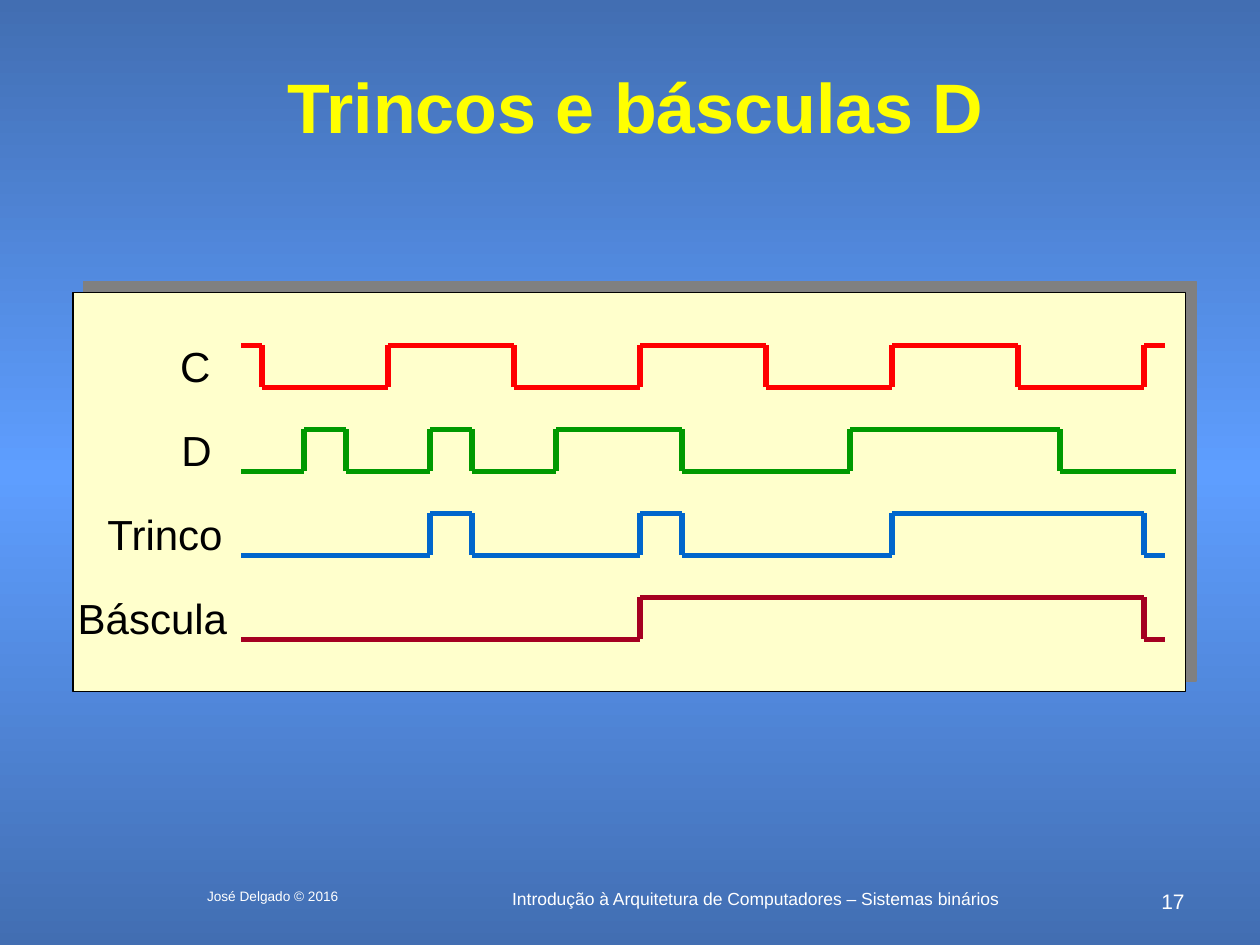
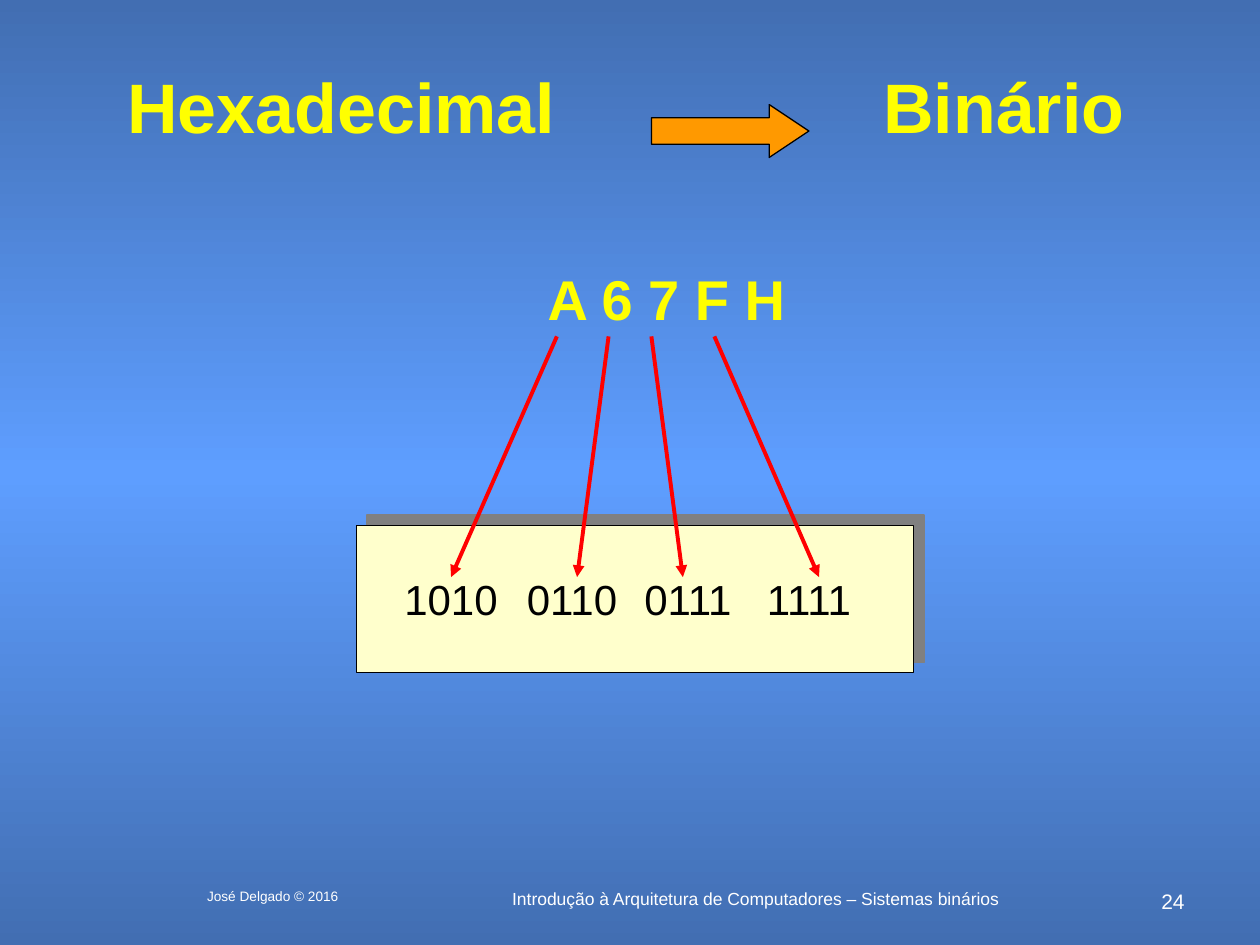
"""Build two slides on latches, flip-flops and hexadecimal conversion."""
from copy import deepcopy
from dataclasses import dataclass

from lxml import etree
from pptx import Presentation
from pptx.dml.color import RGBColor
from pptx.enum.shapes import MSO_CONNECTOR, MSO_SHAPE
from pptx.enum.text import MSO_ANCHOR, MSO_AUTO_SIZE, PP_ALIGN
from pptx.oxml.ns import qn
from pptx.util import Inches, Pt

STRAIGHT = MSO_CONNECTOR.STRAIGHT
RECT, RIGHT_ARROW = MSO_SHAPE.RECTANGLE, MSO_SHAPE.RIGHT_ARROW
CENTER, RIGHT = PP_ALIGN.CENTER, PP_ALIGN.RIGHT
MIDDLE, NO_FIT = MSO_ANCHOR.MIDDLE, MSO_AUTO_SIZE.NONE


@dataclass(frozen=True)
class Theme:
    """Colours, font and type sizes shared by the slides."""
    font: str = "Arial"
    sky_edge: str = "426EB2"
    sky_middle: str = "5E9EFF"
    title: str = "FFFF00"
    footer: str = "FFFFFF"
    ink: str = "000000"
    panel: str = "FFFFCC"
    shadow: str = "808080"
    arrow: str = "FF9900"
    red: str = "FF0000"
    green: str = "009900"
    blue: str = "0066CC"
    wine: str = "A50021"
    title_size: float = 40
    number_size: float = 32
    label_size: float = 24
    page_size: float = 12
    course_size: float = 10
    author_size: float = 7.8


T = Theme()
TITLE_BOX = (0.52, 0.5, 9.05, 0.67)
UNIT = 1 / 3
TICKS = range(0, 22, 3)
WAVES = [
    ("C", 1.55, T.red, 1, TICKS, 21.5),
    ("D", 1.56, T.green, 0, (1, 2, 4, 5, 7, 10, 14, 19), 21.75),
    ("Trinco", 1.31, T.blue, 0, (4, 5, 9, 10, 15, 21), 21.5),
    ("Báscula", 1.21, T.wine, 0, (9, 21), 21.5),
]
NIBBLES = [
    ("1010", 3.58, 4.42, 3.58),
    ("0110", 4.54, 4.83, 4.58),
    ("0111", 5.46, 5.17, 5.42),
    ("1111", 6.42, 5.67, 6.5),
]


def color(value):
    """Turn a hex string into a colour."""
    return RGBColor.from_string(value)


def inches(*values):
    """Turn numbers into lengths."""
    return [Inches(v) for v in values]


def format_text(tf, size, value, align=CENTER, bold=False):
    """Format every run of a text frame."""
    for p in tf.paragraphs:
        p.alignment = align
        for r in p.runs:
            r.font.name, r.font.size, r.font.bold = T.font, Pt(size), bold
            r.font.color.rgb = color(value)


def add_text(s, box, text, size, value, align=CENTER, bold=False, wrap=True):
    """Add a formatted text box."""
    tf = s.shapes.add_textbox(*inches(*box)).text_frame
    tf.word_wrap = wrap
    tf.text = text
    format_text(tf, size, value, align, bold)


def add_line(s, start, end, value, width, arrow=False):
    """Add a straight line, with an arrowhead at its end on request."""
    line = s.shapes.add_connector(STRAIGHT, *inches(*start, *end))
    line.line.color.rgb = color(value)
    line.line.width = Pt(width)
    sp_pr = line._element.spPr
    if arrow:
        etree.SubElement(sp_pr.find(qn("a:ln")), qn("a:tailEnd"), type="triangle")
    etree.SubElement(sp_pr, qn("a:effectLst"))


def add_filled(s, kind, box, fill):
    """Add a preset shape with a thin dark outline."""
    sp = s.shapes.add_shape(kind, *inches(*box))
    sp.shadow.inherit = False
    sp.fill.solid()
    sp.fill.fore_color.rgb = color(fill)
    sp.line.color.rgb = color(T.ink)
    sp.line.width = Pt(0.75)
    return sp


def add_panel(s, box):
    """Add a pale panel with a hard shadow up and to the right."""
    sp = add_filled(s, RECT, box, T.panel)
    effects = sp._element.spPr.find(qn("a:effectLst"))
    shadow = etree.SubElement(effects, qn("a:outerShdw"), dist=str(Pt(8.5)),
                              dir=str(315 * 60000), algn="ctr", rotWithShape="0")
    etree.SubElement(shadow, qn("a:srgbClr"), val=T.shadow)


def set_background(master):
    """Give the master a vertical gradient that is lightest in the middle."""
    fill = master.background.fill
    fill.gradient()
    fill.gradient_angle = 270
    stops = next(master.element.iter(qn("a:gsLst")))
    stops.append(deepcopy(stops[-1]))
    values = (T.sky_edge, T.sky_middle, T.sky_edge)
    for i, (stop, value) in enumerate(zip(fill.gradient_stops, values)):
        stop.position = i / 2
        stop.color.rgb = color(value)


def add_footer(s, page):
    """Add the author, course and page number."""
    add_text(s, (1.33, 7, 1.67, 0.25), "José Delgado © 2016", T.author_size, T.footer)
    add_text(s, (3.33, 7, 5.33, 0.25),
             "Introdução à Arquitetura de Computadores – Sistemas binários",
             T.course_size, T.footer)
    add_text(s, (9.08, 7, 0.42, 0.17), str(page), T.page_size, T.footer, RIGHT)


def add_titled_slide(prs, title, page):
    """Add a slide with its title and footer."""
    s = prs.slides.add_slide(prs.slide_layouts[5])
    sp = s.shapes.title
    sp.left, sp.top, sp.width, sp.height = inches(*TITLE_BOX)
    tf = sp.text_frame
    tf.text = title
    tf.auto_size, tf.vertical_anchor = NO_FIT, MIDDLE
    format_text(tf, T.title_size, T.title, bold=True)
    tabs = etree.SubElement(tf.paragraphs[0]._p.get_or_add_pPr(), qn("a:tabLst"))
    for i in range(8):
        etree.SubElement(tabs, qn("a:tab"), pos=str(Inches(i)), algn="l")
    add_footer(s, page)
    return s


def add_wave(s, left, top, value, level, toggles, end):
    """Draw a signal that toggles at given times, split at the clock edges."""
    def point(time, high):
        return left + time * UNIT, top + (0 if high else UNIT)

    last = -0.5
    for time in sorted({*TICKS, *toggles, end}):
        add_line(s, point(last, level), point(time, level), value, 3)
        if time in toggles:
            add_line(s, point(time, 0), point(time, 1), value, 3)
            level = 1 - level
        last = time


def add_timing_diagram(s, box):
    """Draw the labelled signals on a panel."""
    left, top = box[:2]
    add_panel(s, box)
    for i, (name, center, value, level, toggles, end) in enumerate(WAVES):
        y = top + 0.42 + i * 2 * UNIT
        add_text(s, (center - 0.7, y - 0.09, 1.4, 0.5), name, T.label_size, T.ink,
                 wrap=False)
        add_wave(s, left + 1.5, y, value, level, toggles, end)


def add_conversion(s, box):
    """Draw the hexadecimal number with arrows to its groups of bits."""
    top = box[1]
    add_panel(s, box)
    add_text(s, (4.24, top - 2.12, 2.1, 0.64), "A 6 7 F H", T.number_size, T.title,
             bold=True, wrap=False)
    for bits, center, start, end in NIBBLES:
        add_line(s, (start, top - 1.5), (end, top + 0.41), T.red, 2.25, arrow=True)
        add_text(s, (center - 0.5, top + 0.33, 1, 0.67), bits, T.label_size, T.ink)


def main():
    """Build and save the slides."""
    prs = Presentation()
    prs.slide_width, prs.slide_height = inches(10, 7.5)
    set_background(prs.slide_master)

    s = add_titled_slide(prs, "Trincos e básculas D", 17)
    add_timing_diagram(s, (0.58, 2.32, 8.83, 3.17))

    s = add_titled_slide(prs, "Hexadecimal \t\t\tBinário ", 24)
    arrow = add_filled(s, RIGHT_ARROW, (5.17, 0.83, 1.25, 0.42), T.arrow)
    arrow.adjustments[1] = 0.75
    add_conversion(s, (2.83, 4.17, 4.42, 1.17))

    prs.save("out.pptx")


if __name__ == "__main__":
    main()
